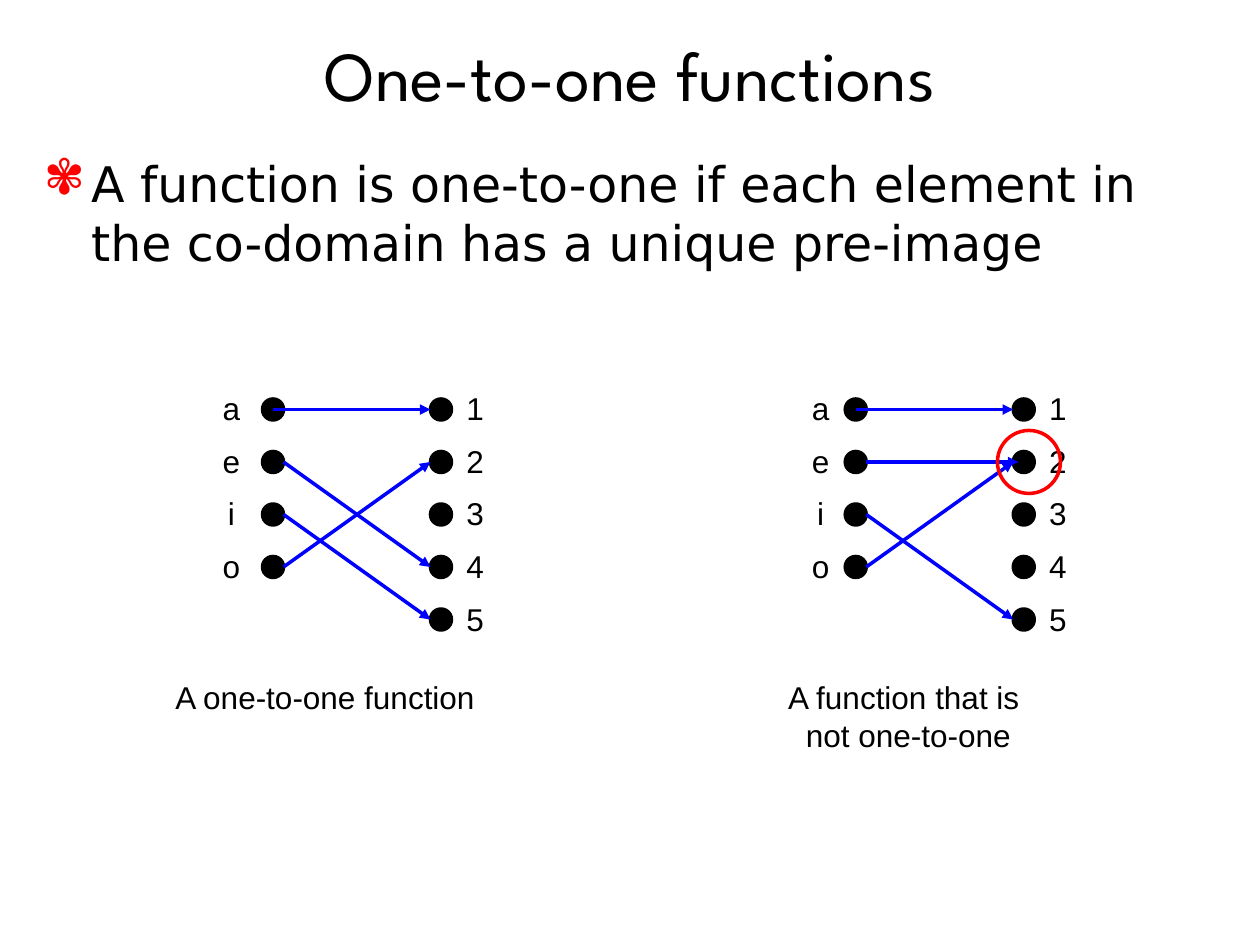
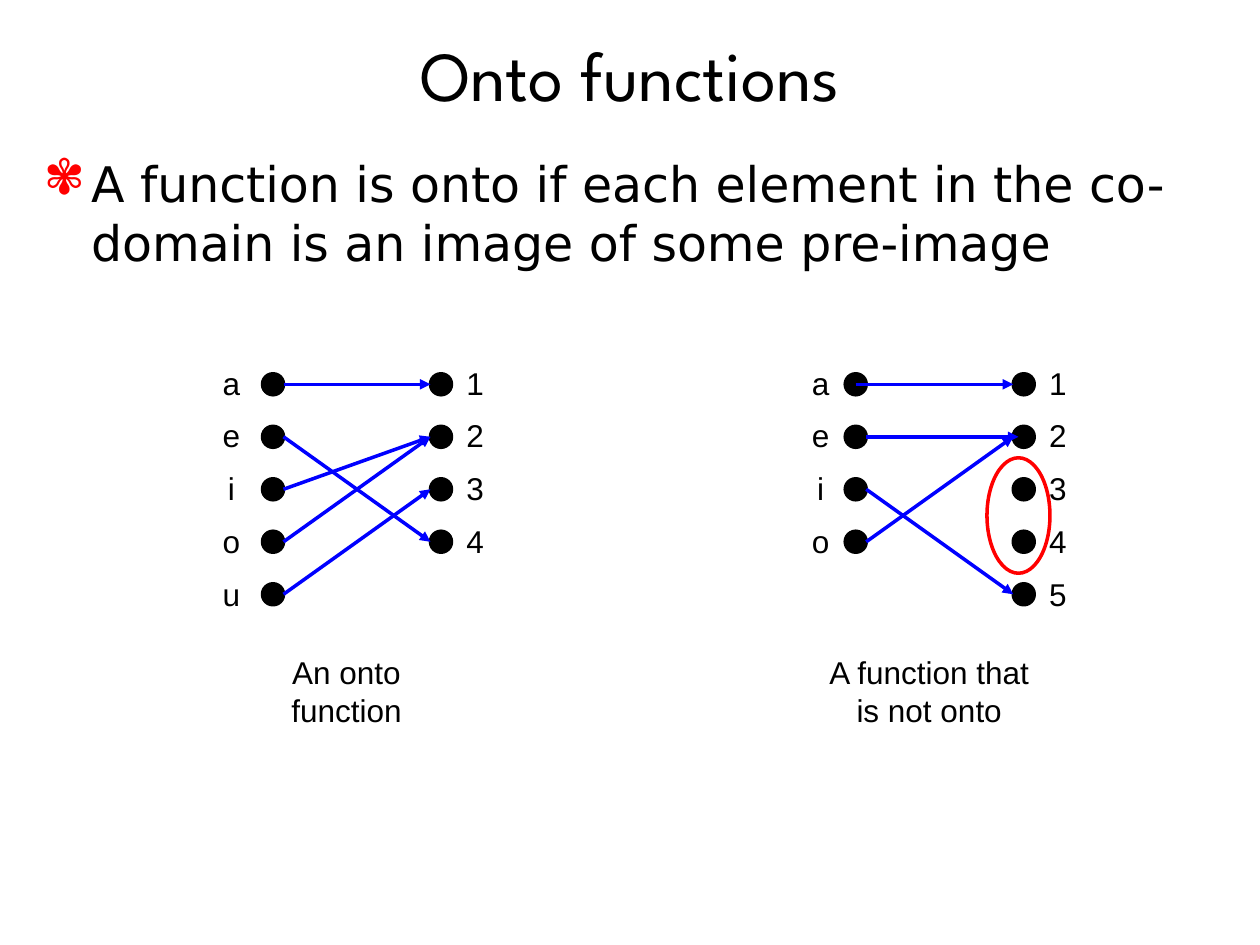
from lxml.etree import SubElement
from pptx import Presentation
from pptx.dml.color import RGBColor
from pptx.enum.shapes import MSO_CONNECTOR, MSO_SHAPE
from pptx.enum.text import MSO_ANCHOR, MSO_AUTO_SIZE, PP_ALIGN
from pptx.oxml.ns import qn
from pptx.util import Pt

PX = 7620  # EMU, 120 px to the inch
COLORS = {"ink": "000000", "arrow": "0000FF", "accent": "FF0000"}
TITLE_FONT, BODY_FONT, LABEL_FONT = "League Spartan", "DejaVu Sans", "Arial"

DOT = 20
ROW_STEP = 50
COLUMN_STEP = 160
LEFT_X, RIGHT_X = 250, 805


def px(*lengths):
    return [round(length * PX) for length in lengths]


def rgb(name):
    return RGBColor.from_string(COLORS[name])


def add_text(shapes, bounds, lines, font, size, align=PP_ALIGN.CENTER, spacing=None):
    box = shapes.add_textbox(*px(*bounds))
    frame = box.text_frame
    frame.word_wrap = True
    frame.text = "\n".join(lines)
    for para in frame.paragraphs:
        para.alignment = align
        para.line_spacing = spacing
        for span in para.runs:
            span.font.name = font
            span.font.size = Pt(size)
            span.font.color.rgb = rgb("ink")
    return box


def add_label(shapes, bounds, lines, spacing=None, wrap=False):
    box = add_text(shapes, bounds, lines, LABEL_FONT, 18, spacing=spacing)
    box.text_frame.word_wrap = wrap
    box.text_frame.auto_size = MSO_AUTO_SIZE.SHAPE_TO_FIT_TEXT


def add_ellipse(shapes, bounds, line, fill=None):
    ellipse = shapes.add_shape(MSO_SHAPE.OVAL, *px(*bounds))
    ellipse.shadow.inherit = False
    if fill:
        ellipse.fill.solid()
        ellipse.fill.fore_color.rgb = rgb(fill)
    else:
        ellipse.fill.background()
    ellipse.line.color.rgb = rgb(line)
    ellipse.line.width = Pt(2)


def add_arrow(shapes, start, end):
    arrow = shapes.add_connector(MSO_CONNECTOR.STRAIGHT, *px(*start, *end))
    arrow.line.color.rgb = rgb("arrow")
    arrow.line.width = Pt(2)
    SubElement(arrow.line._get_or_add_ln(), qn("a:tailEnd"), type="triangle")
    SubElement(arrow._element.spPr, qn("a:effectLst"))


def add_bullet(para):
    properties = para._p.get_or_add_pPr()
    properties.set("marL", str(45 * PX))
    properties.set("indent", str(-45 * PX))
    color = SubElement(properties, qn("a:buClr"))
    SubElement(color, qn("a:srgbClr"), val=COLORS["accent"])
    SubElement(properties, qn("a:buChar"), char="✾")


def add_mapping(page, x, y, domain, codomain, mapping, label_gap=50,
                from_center="", into_dot=""):
    """Draw two labelled columns of dots and an arrow for each "a1" style pair.

    Arrows of the elements in from_center start at the middle of their dot;
    those of the elements in into_dot run a little into the target dot.
    """
    shapes = page.shapes.add_group_shape().shapes
    target_x = x + COLUMN_STEP
    for column_x, elements in ((x, domain), (target_x, codomain)):
        for row in range(len(elements)):
            add_ellipse(shapes, (column_x, y + row * ROW_STEP, DOT, DOT), "ink", "ink")
    for label_x, elements in ((target_x + 22, codomain), (x - label_gap, domain)):
        add_label(shapes, (label_x, y - 30, 41, 264), elements, spacing=1.4)
    for source, target in mapping.split():
        start_x = x + (DOT // 2 if source in from_center else DOT)
        end_x = target_x + (5 if source in into_dot else 0)
        start_y, end_y = (
            y + DOT // 2 + elements.index(element) * ROW_STEP
            for elements, element in ((domain, source), (codomain, target))
        )
        add_arrow(shapes, (start_x, start_y), (end_x, end_y))


def add_page(deck, title, definition):
    page = deck.slides.add_slide(deck.slide_layouts[6])
    heading = add_text(page.shapes, (30, 20, 1140, 100), [title], TITLE_FONT, 40)
    heading.text_frame.vertical_anchor = MSO_ANCHOR.MIDDLE
    body = add_text(page.shapes, (30, 140, 1140, 690), [definition], BODY_FONT, 28,
                    PP_ALIGN.LEFT)
    para = body.text_frame.paragraphs[0]
    para.space_before = Pt(7)
    add_bullet(para)
    return page


def add_one_to_one_page(deck):
    page = add_page(
        deck, "One-to-one functions",
        "A function is one-to-one if each element in the co-domain has a unique pre-image")
    top = 380
    add_mapping(page, LEFT_X, top, "aeio", "12345", "a1 e4 i5 o2", from_center="a")
    add_mapping(page, RIGHT_X, top, "aeio", "12345", "a1 e2 i5 o2", label_gap=44,
                from_center="a", into_dot="e")
    add_label(page.shapes, (154, top + 260, 311, 48), ["A one-to-one function"])
    add_label(page.shapes, (738, top + 260, 254, 84),
              ["A function that is ", "not one-to-one"])
    add_ellipse(page.shapes, (950, 410, 60, 60), "accent")


def add_onto_page(deck):
    page = add_page(
        deck, "Onto functions",
        "A function is onto if each element in the co-domain is an image of some pre-image")
    top = 356
    add_mapping(page, LEFT_X, top, "aeiou", "1234", "a1 e4 i2 o2 u3")
    add_mapping(page, RIGHT_X, top, "aeio", "12345", "a1 e2 i5 o2", label_gap=44,
                from_center="a", into_dot="e")
    add_label(page.shapes, (210, top + 260, 240, 48), ["An onto function"])
    add_label(page.shapes, (770, top + 260, 230, 84), ["A function that is not onto"],
              wrap=True)
    add_ellipse(page.shapes, (940, 436, 60, 110), "accent")


def main():
    deck = Presentation()
    deck.slide_width, deck.slide_height = px(1200, 900)
    add_one_to_one_page(deck)
    add_onto_page(deck)
    deck.save("out.pptx")


if __name__ == "__main__":
    main()
